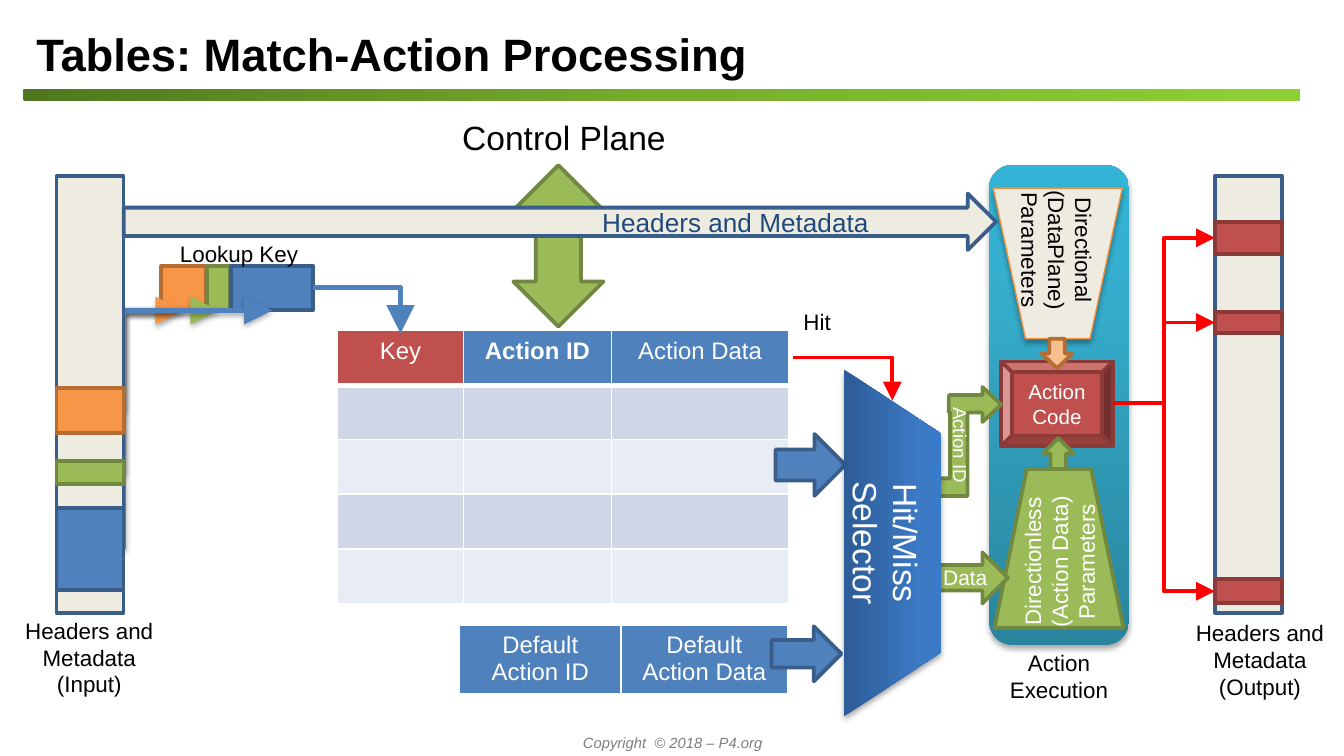
import pptx
import pptx.dml.color
import pptx.enum.shapes
import pptx.enum.text
import pptx.oxml
import pptx.oxml.ns
import pptx.util

Inches = pptx.util.Inches
Pt = pptx.util.Pt
SHAPE = pptx.enum.shapes.MSO_SHAPE
ALIGN = pptx.enum.text.PP_ALIGN
ANCHOR = pptx.enum.text.MSO_ANCHOR
BLUE, GREEN, ORANGE, RED = "4F81BD", "9BBB59", "F79646", "C0504D"
CREAM, WHITE, BLACK, ALERT = "EEECE1", "FFFFFF", "000000", "FF0000"
EDGES = {BLUE: "395E89", GREEN: "718840", ORANGE: "B46D33", RED: "8C3A38", CREAM: "395E89"}
INSETS = (0.1, 0.05, 0.1, 0.05)
FIELDS = [(ORANGE, 1.58, 0.33), (GREEN, 2.12, 0.17), (BLUE, 2.47, 0.61)]


def rgb(value):
    """Turn a hex string into a colour."""
    return pptx.dml.color.RGBColor.from_string(value)


def xml(markup):
    """Parse one drawing element written without its namespace."""
    tag, rest = markup[1:].split(" ", 1)
    return pptx.oxml.parse_xml(f"<a:{tag} {pptx.oxml.ns.nsdecls('a')} {rest}")


def place(box, x, y, width, height):
    """Return lengths for a part whose corner is relative to the box."""
    return [Inches(value) for value in (box[0] + x, box[1] + y, width, height)]


def write(shape, text, size, color=WHITE, align=ALIGN.CENTER, anchor=ANCHOR.MIDDLE,
          insets=INSETS, bold=False, italic=False):
    """Set and format the text of a shape."""
    frame = shape.text_frame
    frame.text = text
    frame.word_wrap = True
    frame.vertical_anchor = anchor
    frame.margin_left, frame.margin_top, frame.margin_right, frame.margin_bottom = map(Inches, insets)
    for paragraph in frame.paragraphs:
        style_paragraph(paragraph, size, color, align, bold, italic)


def style_paragraph(paragraph, size, color, align, bold=False, italic=False):
    """Align a paragraph and set the font of its runs."""
    paragraph.alignment = align
    for run in paragraph.runs:
        run.font.name, run.font.size = "Arial", Pt(size)
        run.font.bold, run.font.italic = bold, italic
        run.font.color.rgb = rgb(color)


def add_label(slide, box, part, text, size, color=BLACK, rotation=0, **style):
    """Add a text box."""
    label = slide.shapes.add_textbox(*place(box, *part))
    label.rotation = rotation
    write(label, text, size, color, **{"anchor": ANCHOR.TOP, **style})


def paint(shape, fill, edge=None, weight=2):
    """Fill and outline a shape and drop the theme shadow."""
    shape.shadow.inherit = False
    shape.fill.solid()
    shape.fill.fore_color.rgb = rgb(fill)
    if edge:
        shape.line.color.rgb = rgb(edge)
        shape.line.width = Pt(weight)
    else:
        shape.line.fill.background()


def add_part(slide, box, kind, part, fill, edge=None, weight=2, rotation=0):
    """Add a preset shape with the outline that belongs to its fill."""
    shape = slide.shapes.add_shape(kind, *place(box, *part))
    shape.rotation = rotation
    paint(shape, fill, edge or EDGES.get(fill), weight)
    return shape


def add_gradient(shape, stops, angle):
    """Give a shape a gradient and no outline."""
    shape.fill.gradient()
    shape.fill.gradient_angle = angle
    stop_list = shape._element.spPr.find(".//" + pptx.oxml.ns.qn("a:gsLst"))
    stop_list.clear()
    for position, color in stops:
        stop_list.append(xml(f'<gs pos="{position * 1000}"><a:srgbClr val="{color}"/></a:gs>'))
    shape.line.fill.background()


def add_shadow(shape):
    """Put a soft shadow below a shape or connector."""
    effects = shape._element.spPr.find(pptx.oxml.ns.qn("a:effectLst"))
    effects.append(xml('<outerShdw blurRad="39370" dist="22860" dir="5400000" rotWithShape="0">'
                       '<a:srgbClr val="000000"><a:alpha val="33000"/></a:srgbClr></a:outerShdw>'))


def add_elbow(slide, start, end, color, weight, bends=2, upward=False):
    """Add an elbow arrow, with upward for one that leaves vertically."""
    if upward:
        middle = [(a + b) / 2 for a, b in zip(start, end)]
        half_width, half_height = (start[1] - end[1]) / 2, (end[0] - start[0]) / 2
        start = (middle[0] - half_width, middle[1] - half_height)
        end = (middle[0] + half_width, middle[1] + half_height)
    connector = slide.shapes.add_connector(
        pptx.enum.shapes.MSO_CONNECTOR.ELBOW, *map(Inches, (*start, *end)))
    connector.line.color.rgb = rgb(color)
    connector.line.width = Pt(weight)
    properties = connector._element.spPr
    properties.find(pptx.oxml.ns.qn("a:prstGeom")).set("prst", f"bentConnector{bends}")
    if upward:
        properties.find(pptx.oxml.ns.qn("a:xfrm")).set("rot", "16200000")
    properties.find(pptx.oxml.ns.qn("a:ln")).append(xml('<tailEnd type="triangle" w="lg" len="lg"/>'))
    properties.append(xml("<effectLst />"))
    return connector


def add_frame(slide, box):
    """Add the title, the bar under it and the copyright line."""
    title = slide.shapes.title
    title.left, title.top, title.width, title.height = place(box, 0, 0, box[2], 0.52)
    write(title, "Tables: Match-Action Processing", 24.3, BLACK, ALIGN.LEFT, bold=True)
    bar = add_part(slide, box, SHAPE.ROUNDED_RECTANGLE, (0, 0.52, box[2], 0.09), GREEN)
    add_gradient(bar, [(0, "50771E"), (50, "76AD2B"), (100, "8DD034")], 0)
    add_label(slide, box, (1, 5.27, 7.67, 0.21), "Copyright  © 2018 – P4.org", 7.9, "7F7F7F", italic=True)


def add_execution(slide, box):
    """Add the action execution column."""
    panel = add_part(slide, box, SHAPE.ROUNDED_RECTANGLE, (0, 0, *box[2:]), BLUE)
    add_gradient(panel, [(0, "29859E"), (80, "36B0D0"), (100, "33B3D5")], 90)
    add_shadow(panel)
    funnel = add_part(slide, box, SHAPE.TRAPEZOID, (0.03, 0.17, 0.96, 1.12), CREAM, "F5913F", 0.75, 180)
    add_shadow(funnel)
    tight = {"anchor": ANCHOR.MIDDLE, "insets": (0, 0, 0, 0)}
    add_label(slide, box, (0.04, 0.31, 0.93, 0.64), "Directional (DataPlane) Parameters", 12, rotation=90, **tight)
    add_part(slide, box, SHAPE.TRAPEZOID, (0.04, 2.26, 0.96, 1.18), GREEN)
    add_label(slide, box, (0.03, 2.63, 0.98, 0.64), "Directionless (Action Data) Parameters", 12, WHITE, 270, **tight)
    code = add_part(slide, box, SHAPE.BEVEL, (0.09, 1.46, 0.83, 0.63), RED)
    write(code, "Action Code", 11)
    add_part(slide, box, SHAPE.UP_ARROW, (0.4, 2.03, 0.23, 0.23), GREEN)
    add_part(slide, box, SHAPE.UP_ARROW, (0.39, 1.29, 0.23, 0.22), "FABF8E", "B46D33", rotation=180)
    add_label(slide, box, (0, 3.55, 1.04, 0.5), "Action Execution", 12)


def add_lookup_key(slide, box, bar):
    """Add the key made of fields and the arrows from the input bar."""
    x, gap, bottom = 0, 0.01, box[1] + box[3]
    ends = []
    for color, _, size in FIELDS:
        add_part(slide, box, SHAPE.RECTANGLE, (x, 0, size, box[3]), color)
        ends.append(box[0] + x + size / 2)
        x += size + gap
    add_label(slide, box, (0.04, -0.24, 1.09, 0.3), "Lookup Key", 12, align=ALIGN.LEFT)
    for (color, top, size), end in zip(FIELDS, ends):
        start = (bar[0] + bar[2], bar[1] + top + size / 2)
        add_shadow(add_elbow(slide, start, (end, bottom), color, 3, upward=True))


def add_grid(slide, box, columns, headers, fills):
    """Add a table with white rules and one list of fills for each row."""
    rows = len(fills)
    table = slide.shapes.add_table(rows, len(columns), *place(box, 0, 0, *box[2:])).table
    for column, width in zip(table.columns, columns):
        column.width = Inches(width)
    for row_index, row in enumerate(table.rows):
        row.height = Inches(box[3] / rows)
        for cell, fill in zip(row.cells, fills[row_index]):
            cell.fill.solid()
            cell.fill.fore_color.rgb = rgb(fill)
            for index, side in enumerate("LRTB"):
                heavy = (row_index, side) in ((0, "B"), (1, "T"))
                cell._tc.tcPr.insert(index, xml(
                    f'<ln{side} w="{38100 if heavy else 12700}"><a:solidFill>'
                    f'<a:srgbClr val="{WHITE}"/></a:solidFill></a:ln{side}>'))
    for cell, header in zip(table.rows[0].cells, headers):
        cell.text = header
        style_paragraph(cell.text_frame.paragraphs[0], 12.8, WHITE, ALIGN.CENTER, header == "Action ID")


def add_tables(slide, box):
    """Add the match table, the default row and the arrows around them."""
    bands = [["CFD7E7"] * 3, ["E8ECF4"] * 3] * 2
    add_grid(slide, (*box[:2], 3.36, 2.03), [0.94, 1.1, 1.32],
             ["Key", "Action ID", "Action Data"], [[RED, BLUE, BLUE], *bands])
    add_grid(slide, (box[0] + 0.91, box[1] + 2.19, 2.44, 0.41), [1.2, 1.24],
             ["Default Action ID", "Default Action Data"], [[BLUE, BLUE]])
    add_elbow(slide, (box[0] - 0.18, box[1] - 0.32), (box[0] + 0.47, box[1] + 0.02), BLUE, 3)
    add_part(slide, box, SHAPE.RIGHT_ARROW, (3.26, 0.77, 0.52, 0.46), BLUE)
    add_part(slide, box, SHAPE.RIGHT_ARROW, (3.23, 2.2, 0.52, 0.41), BLUE)
    add_elbow(slide, (box[0] + 3.39, box[1] + 0.2), (box[0] + 4.13, box[1] + 0.52), ALERT, 2)
    add_label(slide, box, (3.37, -0.22, 0.42, 0.3), "Hit", 12, align=ALIGN.LEFT)


def add_control_plane(slide, box):
    """Add the control plane label over its double arrow."""
    add_label(slide, box, (0, 0, 1.75, 0.38), "Control Plane", 18, align=ALIGN.LEFT)
    arrow = add_part(slide, box, SHAPE.UP_DOWN_ARROW, (0.48, 0.41, 0.67, 1.2), GREEN)
    arrow.adjustments[0] = 0.33


def add_header_bar(slide, box, direction, caption, bands):
    """Add a header bar with its coloured bands and caption."""
    add_label(slide, box, (*caption, 1.17, 0.71), f"Headers and Metadata\n({direction})", 12)
    add_part(slide, box, SHAPE.RECTANGLE, (0, 0, *box[2:]), CREAM)
    for color, top, size in bands:
        add_part(slide, box, SHAPE.RECTANGLE, (0, top, box[2], size), color)


def add_selector(slide, box):
    """Add the hit/miss selector and the arrows leaving it."""
    data = add_part(slide, box, SHAPE.RIGHT_ARROW, (0.68, 1.36, 0.54, 0.38), GREEN)
    write(data, "Data", 11.2, insets=(0, 0.02, 0, 0))
    data.text_frame.paragraphs[0].line_spacing = 0.8
    outline = [(0.53, 0), (0.67, 0.13), (0.53, 0.26), (0.53, 0.19), (0.42, 0.19), (0.42, 0.81), (0, 0.81),
               (0, 0.68), (0.29, 0.68), (0.29, 0.19), (0.28, 0.19), (0.28, 0.06), (0.53, 0.06)]
    points = [(Inches(x), Inches(y)) for x, y in outline]
    builder = slide.shapes.build_freeform(*points[0])
    builder.add_line_segments(points[1:], close=True)
    paint(builder.convert_to_shape(*place(box, 0.5, 0.13, 0, 0)[:2]), GREEN, EDGES[GREEN])
    add_label(slide, box, (0.57, 0.49, 0.59, 0.17), "Action ID", 10, WHITE, 90,
              align=ALIGN.LEFT, insets=(0, 0, 0, 0))
    offset = (box[3] - box[2]) / 2
    selector = add_part(slide, box, SHAPE.TRAPEZOID, (-offset, offset, box[3], box[2]), BLUE, rotation=90)
    selector.adjustments[0] = 0.66
    add_gradient(selector, [(0, "2D5C97"), (80, "3C7AC5"), (100, "397BC9")], 90)
    add_shadow(selector)
    write(selector, "Hit/Miss Selector", 18)


def add_header_arrow(slide, box):
    """Add the long arrow that carries headers and metadata."""
    arrow = add_part(slide, box, SHAPE.RIGHT_ARROW, (0, 0, *box[2:]), CREAM)
    write(arrow, "Headers and Metadata", 14, "1F497D")
    properties = arrow.text_frame.paragraphs[0]._p.get_or_add_pPr()
    properties.set("marL", str(Inches(2.75)))
    properties.set("indent", str(Inches(-0.03)))


def main():
    """Build the slide and save it."""
    presentation = pptx.Presentation()
    presentation.slide_width, presentation.slide_height = Inches(10), Inches(10) * 9 // 16
    slide = presentation.slides.add_slide(presentation.slide_layouts[5])
    input_bar, output_bar = (0.42, 1.31, 0.5, 3.25), (9.04, 1.31, 0.5, 3.25)
    outputs = [(RED, 0.34, 0.24), (RED, 1.01, 0.16), (RED, 3, 0.18)]
    add_frame(slide, (0.17, 0.14, 9.5, 5.48))
    add_execution(slide, (7.36, 1.23, 1.04, 3.57))
    add_lookup_key(slide, (1.2, 1.98, 1.13, 0.33), input_bar)
    add_tables(slide, (2.51, 2.46, 3.36, 2.72))
    add_control_plane(slide, (3.34, 0.82, 1.73, 1.61))
    add_header_bar(slide, input_bar, "Input", (-0.34, 3.23), FIELDS)
    add_header_bar(slide, output_bar, "Output", (-0.25, 3.25), outputs)
    for _, top, size in outputs:
        add_elbow(slide, (8.28, 3), (output_bar[0], output_bar[1] + top + size / 2), ALERT, 2, bends=3)
    add_selector(slide, (6.28, 2.75, 0.72, 2.58))
    add_header_arrow(slide, (0.92, 1.44, 6.49, 0.42))
    presentation.save("out.pptx")


if __name__ == "__main__":
    main()
